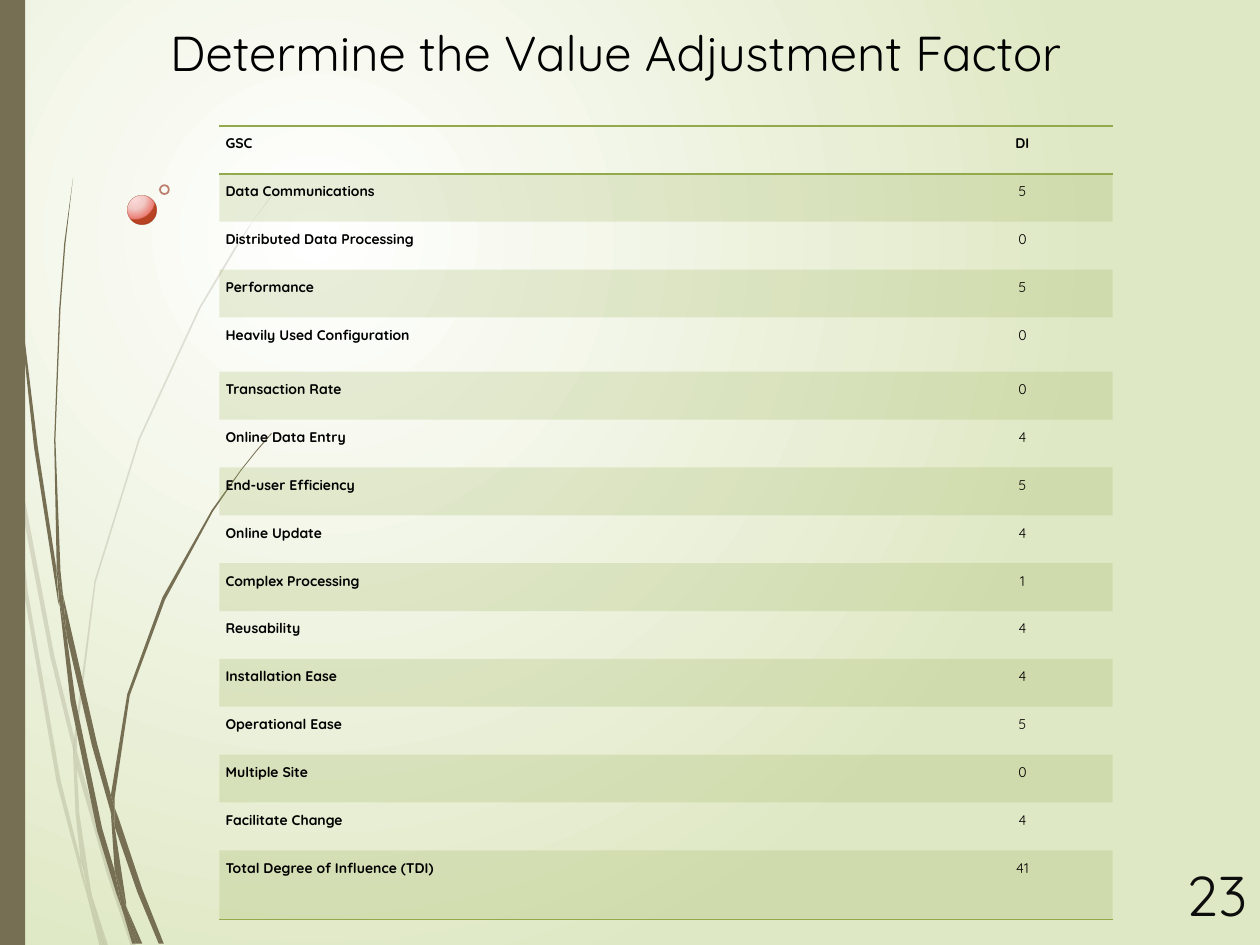
from pptx import Presentation
from pptx.dml.color import RGBColor as RGB
from pptx.enum.shapes import MSO_SHAPE as Shape
from pptx.enum.text import MSO_ANCHOR as Anchor, PP_ALIGN as Align
from pptx.oxml.ns import qn
from pptx.util import Pt
from lxml.etree import SubElement

PX = 9144  # EMU per px, 100 px to the inch
FONT = "Quicksand"
COLORS = {
    "text": "000000", "number": "0D0D0D", "stem": "766F54", "green": "92AA4C",
    "bg_in": "FFFFFF", "bg_out": "DFE8C4", "ring": "922A0E", "ball_edge": "A52A08",
    "ball_1": "FFDBD9", "ball_2": "F1C4C1", "ball_3": "EA6C63", "ball_4": "AD2500",
}

# Outlines of the stems, point by point in px
PALE_STEMS = [
    [(8, 350), (6, 322), (0, 282), (0, 299), (7, 344)],
    [(40, 522), (59, 599), (59, 586), (43, 520), (10, 345), (12, 376)],
    [(64, 607), (61, 596), (61, 610), (85, 694), (104, 751), (108, 751), (88, 692)],
    [(83, 751), (86, 751), (73, 711)],
    [(64, 683), (48, 619), (22, 469), (12, 376), (8, 350), (19, 470), (45, 621),
     (64, 693), (70, 714), (69, 707)],
    [(58, 599), (60, 646), (64, 683), (67, 692), (73, 711), (72, 706), (63, 646),
     (61, 610), (61, 608)],
    [(61, 584), (76, 462), (111, 349), (159, 245), (187, 198), (201, 175), (217, 154),
     (217, 153), (201, 175), (186, 197), (158, 244), (110, 348), (75, 461), (59, 584),
     (59, 586), (61, 596)],
    [(70, 714), (79, 751), (82, 751)],
    [(61, 608), (61, 610), (61, 596), (59, 586), (58, 599)],
    [(67, 692), (65, 683), (69, 707), (70, 714), (82, 751), (83, 751), (73, 711)],
]
DARK_STEMS = [
    [(5, 110), (14, 233), (27, 355), (46, 477), (47, 481), (45, 457), (45, 453),
     (30, 355), (15, 232), (6, 109), (4, 48), (3, 0), (2, 0), (3, 48)],
    [(73, 592), (88, 645), (88, 633), (88, 631), (77, 590), (50, 472), (53, 505)],
    [(94, 649), (91, 641), (91, 656), (109, 708), (126, 749), (130, 749), (113, 706)],
    [(91, 691), (81, 657), (60, 556), (53, 505), (47, 477), (56, 557), (77, 659),
     (92, 708), (97, 722), (96, 717)],
    [(50, 472), (48, 453), (44, 349), (48, 245), (52, 193), (58, 141), (51, 193),
     (47, 245), (43, 349), (45, 449), (49, 472)],
    [(110, 749), (113, 749), (100, 719)],
    [(47, 477), (53, 505), (50, 472), (49, 472), (45, 449), (45, 453)],
    [(91, 633), (103, 552), (131, 476), (169, 406), (191, 374), (203, 359), (216, 344),
     (215, 344), (203, 358), (191, 373), (168, 405), (129, 474), (101, 551), (88, 631),
     (91, 641)],
    [(97, 722), (105, 749), (108, 749)],
    [(88, 645), (91, 691), (96, 706), (100, 719), (100, 716), (91, 656), (90, 651)],
    [(88, 645), (90, 651), (91, 656), (91, 641), (88, 631), (88, 633)],
    [(96, 706), (91, 691), (96, 717), (97, 722), (108, 749), (110, 749), (100, 719)],
]

ROWS = [
    ("GSC", "DI"), ("Data Communications", "5"), ("Distributed Data Processing", "0"),
    ("Performance", "5"), ("Heavily Used Configuration", "0"), ("Transaction Rate", "0"),
    ("Online Data Entry", "4"), ("End-user Efficiency", "5"), ("Online Update", "4"),
    ("Complex Processing", "1"), ("Reusability", "4"), ("Installation Ease", "4"),
    ("Operational Ease", "5"), ("Multiple Site", "0"), ("Facilitate Change", "4"),
    ("Total Degree of Influence (TDI)", "41"),
]
ROW_H, TALL_ROWS = 38, {4: 43, 15: 55}


def rgb(name):
    return RGB.from_string(COLORS[name])


def box(*lengths):
    return [n * PX for n in lengths]


def set_alpha(el, percent):
    for color in el.iter(qn("a:srgbClr")):
        SubElement(color, qn("a:alpha"), val=str(percent * 1000))


def circle_gradient(fill, el, stops, focus):
    """Round gradient; stops are (position, colour, opacity)."""
    fill.gradient()
    grad = el.find(".//" + qn("a:gradFill"))
    grad.clear()
    gs_list = SubElement(grad, qn("a:gsLst"))
    for pos, name, alpha in stops:
        gs = SubElement(gs_list, qn("a:gs"), pos=str(pos * 1000))
        color = SubElement(gs, qn("a:srgbClr"), val=COLORS[name])
        SubElement(color, qn("a:alpha"), val=str(alpha * 1000))
    way = SubElement(grad, qn("a:path"), path="circle")
    SubElement(way, qn("a:fillToRect"), {k: str(v * 1000) for k, v in zip("ltrb", focus)})


def write(tf, text, size, color, bold=False, align=Align.LEFT, spacing=None):
    p = tf.paragraphs[0]
    p.alignment, p.line_spacing = align, spacing
    r = p.add_run()
    r.text = text
    for key, value in {"name": FONT, "size": Pt(size), "bold": bold}.items():
        setattr(r.font, key, value)
    r.font.color.rgb = rgb(color)


def add_stems(slide, outlines, alpha=100):
    group = slide.shapes.add_group_shape()
    for start, *rest in outlines:
        builder = group.shapes.build_freeform(*start, scale=PX)
        builder.add_line_segments(rest, close=True)
        sp = builder.convert_to_shape()
        sp.shadow.inherit = False
        sp.fill.solid()
        sp.fill.fore_color.rgb = rgb("stem")
        sp.line.fill.background()
        if alpha < 100:
            set_alpha(sp.element.spPr, alpha)


def add_plain(slide, kind, at, fill=None, line=None, width=1):
    sp = slide.shapes.add_shape(kind, *box(*at))
    sp.shadow.inherit = False
    sp.fill.background()
    sp.line.fill.background()
    if fill:
        sp.fill.solid()
        sp.fill.fore_color.rgb = rgb(fill)
    if line:
        sp.line.color.rgb = rgb(line)
        sp.line.width = Pt(width)
        set_alpha(sp.line._get_or_add_ln(), 60)
    return sp


def add_rule(cell, side):
    tag = qn("a:ln" + side)
    ln = SubElement(cell._tc.get_or_add_tcPr(), tag, w=str(Pt(1)))
    SubElement(SubElement(ln, qn("a:solidFill")), qn("a:srgbClr"), val=COLORS["green"])


def add_factor_table(slide):
    frame = slide.shapes.add_table(len(ROWS), 2, *box(174, 100, 709, 633))
    table = frame.table
    table.horz_banding = False
    style = frame.element.find(".//" + qn("a:tableStyleId"))
    style.text = "{2D5ABB26-0587-4C30-8999-92F81FD0307C}"  # no style, no grid
    for col, width in zip(table.columns, (567, 142)):
        col.width = width * PX
    margins = {"margin_left": 5, "margin_top": 0, "margin_right": 6, "margin_bottom": 0}
    last = len(ROWS) - 1
    for i, row in enumerate(ROWS):
        table.rows[i].height = TALL_ROWS.get(i, ROW_H) * PX
        for j, text in enumerate(row):
            cell = table.cell(i, j)
            for key, value in margins.items():
                setattr(cell, key, value * PX)
            write(cell.text_frame, text, 8, "text", bold=i == 0 or j == 0,
                  align=Align.CENTER if j else Align.LEFT, spacing=1.5)
            # Rules go ahead of the fill
            for side in {0: "TB", last: "B"}.get(i, ""):
                add_rule(cell, side)
            if i % 2:
                cell.fill.solid()
                cell.fill.fore_color.rgb = rgb("green")
                set_alpha(cell._tc.tcPr.find(qn("a:solidFill")), 20)
            else:
                cell.fill.background()


def main():
    prs = Presentation()
    prs.slide_width, prs.slide_height = box(1000, 750)
    slide = prs.slides.add_slide(prs.slide_layouts[5])

    # Background and stems
    circle_gradient(slide.background.fill, slide.element,
                    [(0, "bg_in", 100), (100, "bg_out", 100)], (50, 50, 100, 100))
    add_stems(slide, PALE_STEMS, alpha=20)
    add_stems(slide, DARK_STEMS)
    add_plain(slide, Shape.RECTANGLE, (0, 0, 20, 750), fill="stem")

    # Ball and ring
    ball = add_plain(slide, Shape.OVAL, (101, 155, 23, 23), line="ball_edge", width=0.16)
    circle_gradient(ball.fill, ball.element,
                    [(0, "ball_1", 95), (50, "ball_2", 90), (95, "ball_3", 88),
                     (100, "ball_4", 85)], (25, 12, 75, 88))
    add_plain(slide, Shape.OVAL, (127, 147, 7, 7), line="ring")

    # Title
    title = slide.shapes.title
    title.left, title.top, title.width, title.height = box(125, 13, 783, 57)
    title.text_frame.vertical_anchor = Anchor.TOP
    write(title.text_frame, "Determine the Value Adjustment Factor", 28, "text")

    add_factor_table(slide)

    # Slide number
    tf = slide.shapes.add_textbox(*box(874, 672, 126, 75)).text_frame
    tf.word_wrap = True
    tf.vertical_anchor = Anchor.MIDDLE
    write(tf, "23", 32, "number", align=Align.RIGHT)

    prs.save("out.pptx")


if __name__ == "__main__":
    main()
